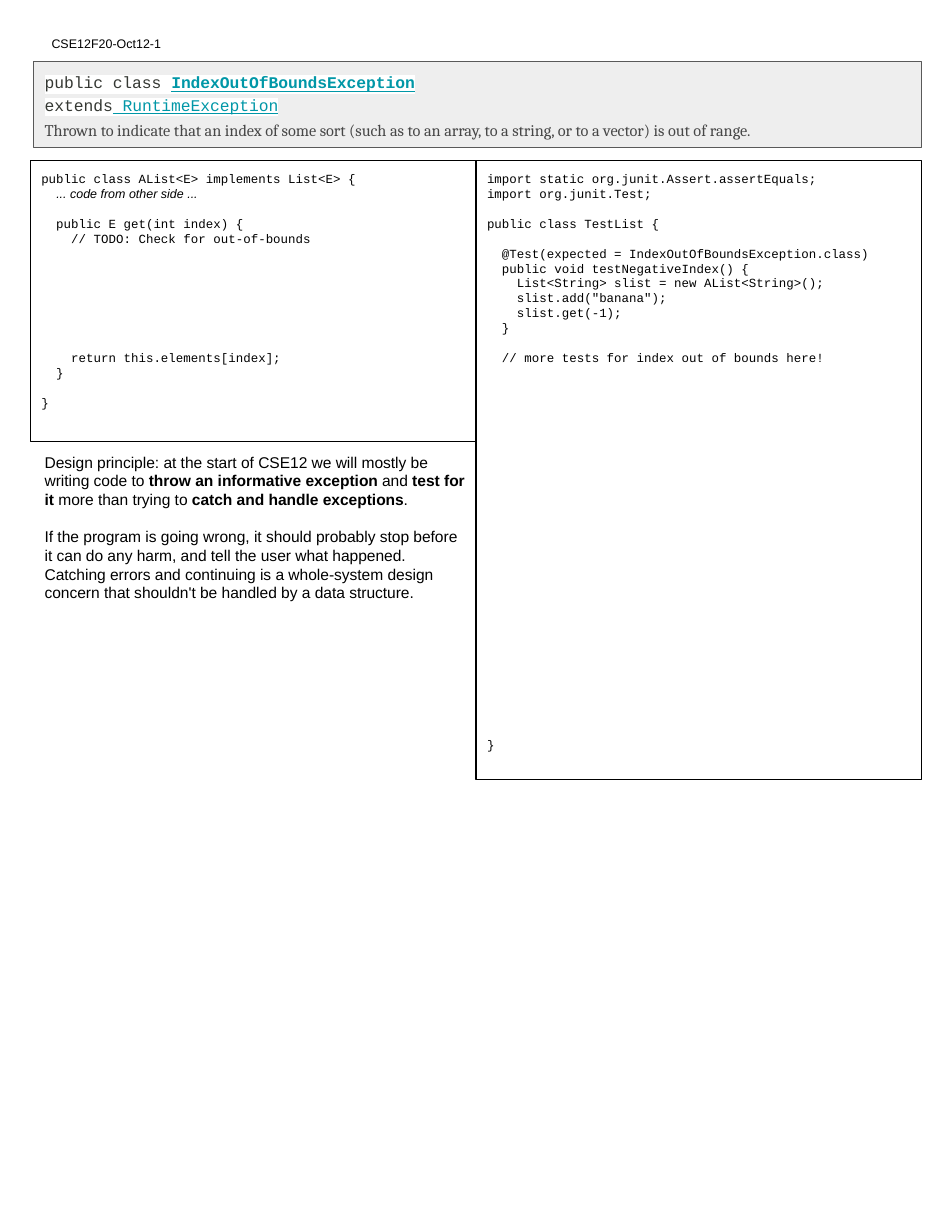
from lxml.etree import SubElement
from pptx import Presentation
from pptx.dml.color import RGBColor
from pptx.enum.shapes import MSO_SHAPE as Preset
from pptx.enum.text import MSO_ANCHOR as Anchor, MSO_AUTO_SIZE as AutoSize, PP_ALIGN as Align
from pptx.oxml.ns import qn
from pptx.util import Inches, Pt

BLACK = RGBColor(0x00, 0x00, 0x00)
PANEL_FILL = RGBColor(0xEE, 0xEE, 0xEE)
PANEL_LINE = RGBColor(0x59, 0x59, 0x59)
KEYWORD = RGBColor(0x35, 0x38, 0x33)
CLASS_LINK = RGBColor(0x00, 0x97, 0xA7)
SUMMARY = RGBColor(0x47, 0x47, 0x47)

# Content: code lines are (blank lines above, text)
HEADER = "CSE12F20-Oct12-1"
LIST_CODE = [
    (0, "public class AList<E> implements List<E> {"),
    (0, "  ", "... code from other side ..."),
    (1, "  public E get(int index) {"),
    (0, "    // TODO: Check for out-of-bounds"),
    (7, "    return this.elements[index];"),
    (0, "  }"),
    (1, "}"),
]
TEST_CODE = [
    (0, "import static org.junit.Assert.assertEquals;"),
    (0, "import org.junit.Test;"),
    (1, "public class TestList {"),
    (1, "  @Test(expected = IndexOutOfBoundsException.class)"),
    (0, "  public void testNegativeIndex() {"),
    (0, "    List<String> slist = new AList<String>();"),
    (0, '    slist.add("banana");'),
    (0, "    slist.get(-1);"),
    (0, "  }"),
    (1, "  // more tests for index out of bounds here!"),
    (25, "}"),
]
# Every second piece of a principle is bold
PRINCIPLES = [
    ["Design principle: at the start of CSE12 we will mostly be writing code to ",
     "throw an informative exception", " and ", "test for it",
     " more than trying to ", "catch and handle exceptions", "."],
    ["If the program is going wrong, it should probably stop before it can do any harm, "
     "and tell the user what happened. Catching errors and continuing is a whole-system "
     "design concern that shouldn't be handled by a data structure."],
]
# Signature lines: (keyword, class name, bold class name)
SIGNATURE = [("public class ", "IndexOutOfBoundsException", True),
             ("extends", " RuntimeException", False)]
DESCRIPTION = ("Thrown to indicate that an index of some sort (such as to an array, "
               "to a string, or to a vector) is out of range.")

# Layout in inches
RIGHT, COLUMN_WIDTH, COLUMN_TOP = 8.23, 3.98, 1.43
MIDDLE = RIGHT - COLUMN_WIDTH
LIST_HEIGHT, TEST_HEIGHT = 2.51, 5.53
TEXT_LEFT = 0.3
CODE_PITCH, TEXT_PITCH = 9.56, 12  # points per blank line


def prepare_frame(shape, anchor=Anchor.TOP):
    frame = shape.text_frame
    frame.word_wrap = True
    frame.auto_size = AutoSize.NONE
    frame.vertical_anchor = anchor
    frame.margin_left = frame.margin_right = Inches(0.1)
    frame.margin_top = frame.margin_bottom = Inches(0.1)
    return frame


def next_paragraph(frame, index):
    paragraph = frame.add_paragraph() if index else frame.paragraphs[0]
    paragraph.alignment = Align.LEFT
    return paragraph


def add_run(paragraph, text, size, font="Arial", color=BLACK,
            bold=False, italic=False, underline=False):
    run = paragraph.add_run()
    run.text = text
    run.font.size, run.font.name = Pt(size), font
    run.font.bold, run.font.italic, run.font.underline = bold, italic, underline
    run.font.color.rgb = color
    return run


def highlight_white(run):
    properties = run.font._element
    highlight = SubElement(properties, qn("a:highlight"))
    SubElement(highlight, qn("a:srgbClr")).set("val", "FFFFFF")
    properties.find(qn("a:solidFill")).addnext(highlight)


def add_box(slide, left, top, width, height, line_color, fill=None):
    box = slide.shapes.add_shape(
        Preset.RECTANGLE, Inches(left), Inches(top), Inches(width), Inches(height))
    box.shadow.inherit = False
    if fill is None:
        box.fill.background()
    else:
        box.fill.solid()
        box.fill.fore_color.rgb = fill
    box.line.color.rgb = line_color
    box.line.width = Pt(0.75)
    return box


def add_code(slide, left, height, lines):
    frame = prepare_frame(add_box(slide, left, COLUMN_TOP, COLUMN_WIDTH, height, BLACK))
    for index, (blank_lines, code, *remark) in enumerate(lines):
        paragraph = next_paragraph(frame, index)
        if blank_lines:
            paragraph.space_before = Pt(blank_lines * CODE_PITCH)
        add_run(paragraph, code, 8, "Courier New")
        for text in remark:
            add_run(paragraph, text, 8, italic=True)


presentation = Presentation()
presentation.slide_width, presentation.slide_height = Inches(8.5), Inches(11)
slide = presentation.slides.add_slide(presentation.slide_layouts[5])

# Page header
header = slide.shapes.title
header.left, header.top = Inches(0.36), Inches(0.22)
header.width, header.height = Inches(1.72), Inches(0.33)
add_run(next_paragraph(prepare_frame(header), 0), HEADER, 8)

# Code columns
add_code(slide, MIDDLE - COLUMN_WIDTH, LIST_HEIGHT, LIST_CODE)
add_code(slide, MIDDLE, TEST_HEIGHT, TEST_CODE)

# Design principles
principles = slide.shapes.add_textbox(
    Inches(TEXT_LEFT), Inches(COLUMN_TOP + LIST_HEIGHT),
    Inches(MIDDLE - TEXT_LEFT), Inches(1.99))
frame = prepare_frame(principles)
for index, pieces in enumerate(PRINCIPLES):
    paragraph = next_paragraph(frame, index)
    if index:
        paragraph.space_before = Pt(TEXT_PITCH)
    for position, text in enumerate(pieces):
        add_run(paragraph, text, 10, bold=position % 2 == 1)

# Exception documentation
panel = add_box(slide, TEXT_LEFT, 0.55, RIGHT - TEXT_LEFT, 0.77, PANEL_LINE, PANEL_FILL)
frame = prepare_frame(panel, Anchor.MIDDLE)
signature = next_paragraph(frame, 0)
signature.line_spacing = 1.15
for index, (keyword, class_name, bold) in enumerate(SIGNATURE):
    if index:
        signature.add_line_break()
    highlight_white(add_run(signature, keyword, 10.5, "Courier New", KEYWORD))
    highlight_white(add_run(signature, class_name, 10.5, "Courier New", CLASS_LINK,
                            bold=bold, underline=True))
description = next_paragraph(frame, 1)
description.line_spacing = 1.15
description.space_before = description.space_after = Pt(2)
add_run(description, DESCRIPTION, 10.5, "Cambria", SUMMARY)

presentation.save("out.pptx")
